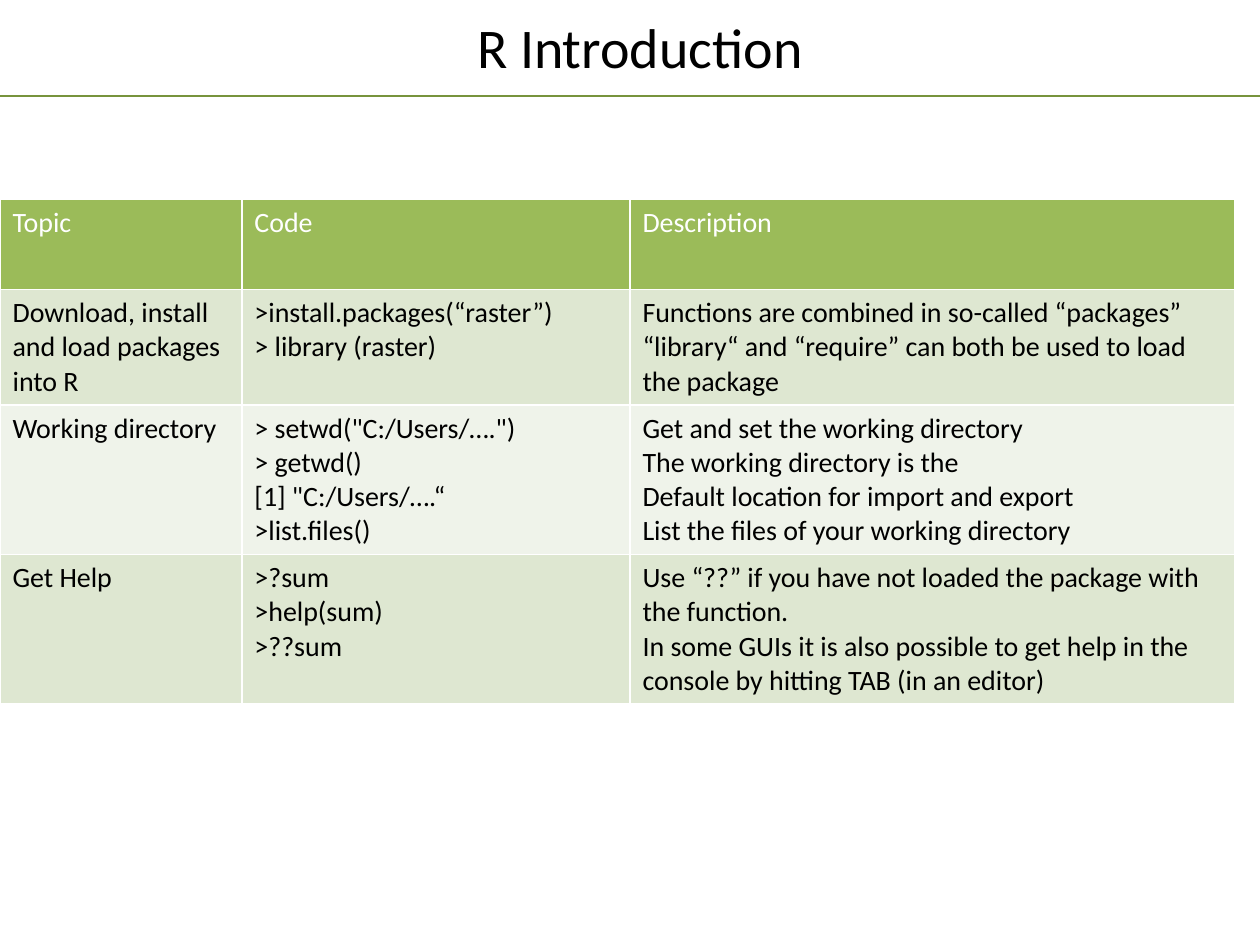
from lxml.etree import SubElement
from pptx import Presentation
from pptx.dml.color import RGBColor
from pptx.enum.shapes import MSO_CONNECTOR
from pptx.enum.text import MSO_ANCHOR, PP_ALIGN
from pptx.oxml.ns import qn
from pptx.util import Inches, Pt

TITLE = "R Introduction"
ROWS = [
    ("Topic", "Code", "Description"),
    (
        "Download, install and load packages into R",
        ">install.packages(“raster”)\n> library (raster)",
        "Functions are combined in so-called “packages”\n"
        "“library“ and “require” can both be used to load the package",
    ),
    (
        "Working directory",
        '> setwd("C:/Users/….")\n> getwd()\n[1] "C:/Users/….“\n>list.files()',
        "Get and set the working directory\nThe working directory is the \n"
        "Default location for import and export\nList the files of your working directory",
    ),
    (
        "Get Help",
        ">?sum\n>help(sum)\n>??sum",
        "Use “??” if you have not loaded the package with the function.\n"
        "In some GUIs it is also possible to get help in the console by hitting TAB (in an editor)",
    ),
]
THEME = {
    "font": "Calibri", "title_size": 32, "body_size": 16,
    "text": "000000", "header_text": "FFFFFF", "header": "9BBB59",
    "bands": ("DEE7D1", "EFF3EA"), "rule": "77933C", "border": "FFFFFF",
}
SLIDE_WIDTH, SLIDE_HEIGHT = 10, 7.5
TITLE_BOX = {"left": 1.46, "top": 0.05, "width": 7.24, "height": 0.71}
RULE_TOP = TITLE_BOX["top"] + TITLE_BOX["height"]
TABLE_TOP = 1.58
COLUMN_WIDTHS = (1.92, 3.08, 4.8)
ROW_HEIGHT = 0.72
BORDER_WIDTH = 1


def format_text(text_frame, text, size, color, **paragraph_format):
    text_frame.text = text
    for paragraph in text_frame.paragraphs:
        for name, value in paragraph_format.items():
            setattr(paragraph, name, value)
        for run in paragraph.runs:
            for name, value in {"name": THEME["font"], "size": Pt(size), "bold": False}.items():
                setattr(run.font, name, value)
            run.font.color.rgb = RGBColor.from_string(color)


def add_borders(cell):
    properties = cell._tc.get_or_add_tcPr()
    for side in "LRTB":
        line = SubElement(properties, qn(f"a:ln{side}"), w=str(Pt(BORDER_WIDTH)))
        fill = SubElement(line, qn("a:solidFill"))
        SubElement(fill, qn("a:srgbClr"), val=THEME["border"])


presentation = Presentation()
presentation.slide_width = Inches(SLIDE_WIDTH)
presentation.slide_height = Inches(SLIDE_HEIGHT)
slide = presentation.slides.add_slide(presentation.slide_layouts[5])

rule = slide.shapes.add_connector(
    MSO_CONNECTOR.STRAIGHT, 0, Inches(RULE_TOP), Inches(SLIDE_WIDTH), Inches(RULE_TOP)
)
rule.line.width = Pt(1)
rule.line.color.rgb = RGBColor.from_string(THEME["rule"])
SubElement(rule._element.spPr, qn("a:effectLst"))

title = slide.shapes.title
for name, value in TITLE_BOX.items():
    setattr(title, name, Inches(value))
title.text_frame.vertical_anchor = MSO_ANCHOR.TOP
format_text(title.text_frame, TITLE, THEME["title_size"], THEME["text"], alignment=PP_ALIGN.CENTER)

table = slide.shapes.add_table(
    len(ROWS), len(COLUMN_WIDTHS), 0, Inches(TABLE_TOP),
    Inches(sum(COLUMN_WIDTHS)), Inches(ROW_HEIGHT * len(ROWS)),
).table
for column, width in zip(table.columns, COLUMN_WIDTHS):
    column.width = Inches(width)
for row_index, texts in enumerate(ROWS):
    is_header = row_index == 0
    color = THEME["header_text" if is_header else "text"]
    fill_color = THEME["header"] if is_header else THEME["bands"][(row_index - 1) % 2]
    for column_index, text in enumerate(texts):
        cell = table.cell(row_index, column_index)
        add_borders(cell)
        cell.fill.solid()
        cell.fill.fore_color.rgb = RGBColor.from_string(fill_color)
        format_text(cell.text_frame, text, THEME["body_size"], color)

presentation.save("out.pptx")
